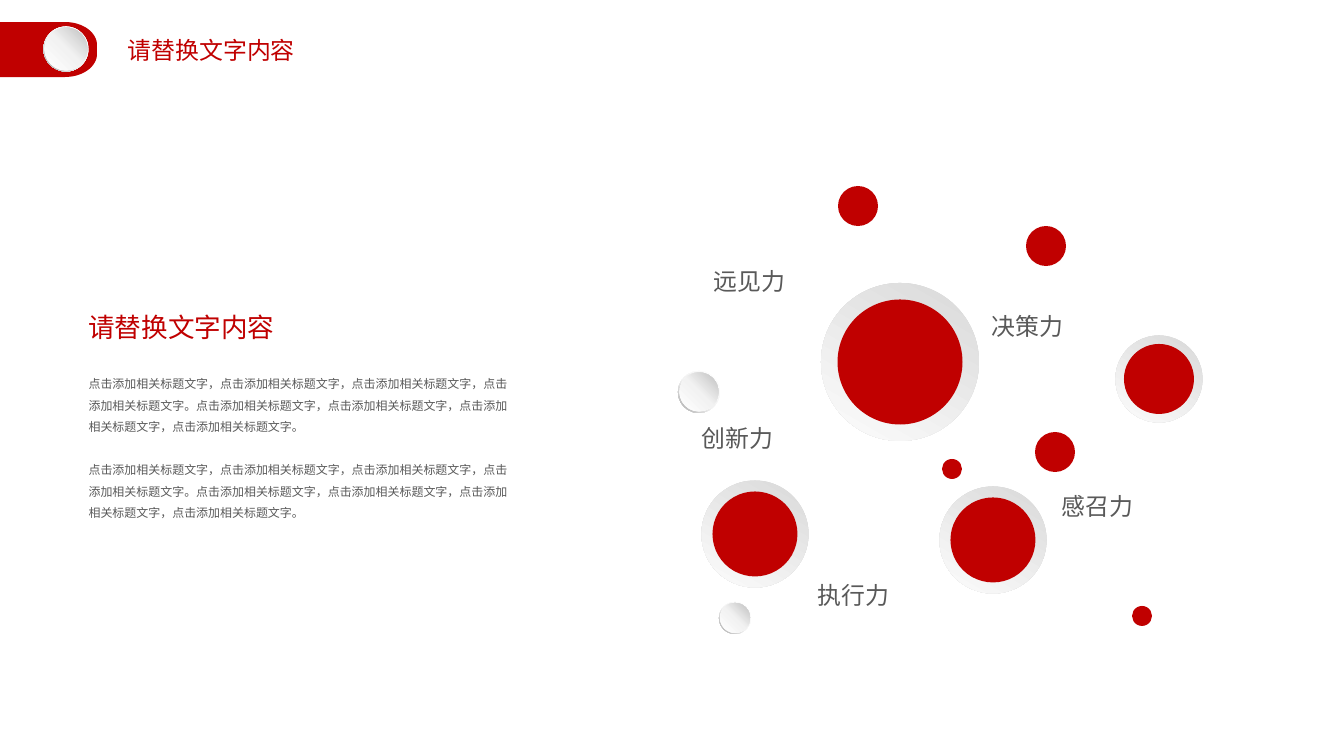
import copy
import math

import lxml.etree
import pptx
import pptx.dml.color
import pptx.enum.shapes
import pptx.enum.text
import pptx.oxml.ns
import pptx.util

PX = 9565
SLIDE = (1344, 756)
RED, GREY = "C00000", "595959"
CALIBRI, NOTO = "Calibri", "Noto Sans CJK SC"

HEADING = "请替换文字内容"
PHRASE = "点击添加相关标题文字"
SENTENCE = "，".join([PHRASE] * 4) + "。"
BODY = [SENTENCE * 2] * 2
TITLE_BOX = (118, 31, 208, 38)
SUBTITLE_BOX = (79, 306, 207, 42)
BODY_BOX = (79, 364, 442, 162)
LABEL_SIZE = (92, 38)
LABELS = [
    ("远见力", 704, 262),
    ("执行力", 808, 576),
    ("感召力", 1052, 487),
    ("决策力", 982, 307),
    ("创新力", 692, 419),
]

RINGS = [(900, 362, 158, 125), (755, 534, 107, 85), (993, 540, 107, 85), (1159, 379, 87, 70)]
DOTS = [(1055, 452, 40), (1046, 246, 40), (858, 206, 40), (1142, 616, 20), (952, 469, 20)]
PEARLS = [(735, 618, 32, 30), (699, 392, 42, 39), (66, 49, 45, 43)]
TAB_TOP, TAB_BOTTOM, TAB_BEND, TAB_RX, TAB_RY = 22, 77, 65, 32, 23

RING_FILL = ([(0, "D9D9D9"), (1, "FCFCFC")], 120)
RIM_FILL = ([(0, "FFFFFF"), (0.55, "F2F2F2"), (1, "A6A6A6")], 135)
PEARL_FILL = ([(0, "FFFFFF"), (0.51, "F2F2F2"), (1, "BFBFBF")], 315)

ELLIPSE = pptx.enum.shapes.MSO_SHAPE.OVAL
DONUT = pptx.enum.shapes.MSO_SHAPE.DONUT


def rgb(value):
    """Turn a hex string into a colour."""
    return pptx.dml.color.RGBColor.from_string(value)


def emu(*lengths):
    """Turn px lengths into EMU."""
    return [pptx.util.Emu(round(n * PX)) for n in lengths]


def paint(sp, fill):
    """Give a shape a solid or gradient fill, without line or shadow."""
    sp.shadow.inherit = False
    sp.line.fill.background()
    if isinstance(fill, str):
        sp.fill.solid()
        sp.fill.fore_color.rgb = rgb(fill)
        return
    stops, angle = fill
    sp.fill.gradient()
    sp.fill.gradient_angle = 360 - angle
    gs_list = sp._element.spPr.find(".//" + pptx.oxml.ns.qn("a:gsLst"))
    while len(gs_list) < len(stops):
        gs_list.append(copy.deepcopy(gs_list[0]))
    for stop, (position, color) in zip(sp.fill.gradient_stops, stops):
        stop.position = position
        stop.color.rgb = rgb(color)


def circle(s, cx, cy, d, fill, kind=ELLIPSE):
    """Add a round shape around a centre."""
    sp = s.shapes.add_shape(kind, *emu(cx - d / 2, cy - d / 2, d, d))
    if kind == DONUT:
        sp.adjustments[0] = 0.05
    paint(sp, fill)


def write(sp, box, texts, size, font, color, wrap=True, spacing=None):
    """Place a text shape and fill it with left-aligned paragraphs."""
    sp.left, sp.top, sp.width, sp.height = emu(*box)
    tf = sp.text_frame
    tf.word_wrap = wrap
    tf.auto_size = pptx.enum.text.MSO_AUTO_SIZE.NONE
    tf.vertical_anchor = pptx.enum.text.MSO_ANCHOR.MIDDLE
    tf.margin_top = tf.margin_bottom = 0
    for i, text in enumerate(texts):
        p = tf.add_paragraph() if i else tf.paragraphs[0]
        pPr = p._p.get_or_add_pPr()
        pPr.set("marL", "0")
        pPr.set("indent", "0")
        lxml.etree.SubElement(pPr, pptx.oxml.ns.qn("a:buNone"))
        p.alignment = pptx.enum.text.PP_ALIGN.LEFT
        p.space_before = pptx.util.Pt(spacing if i else 0)
        if spacing:
            p.line_spacing = pptx.util.Pt(spacing)
        r = p.add_run()
        r.text = text
        r.font.size = pptx.util.Pt(size)
        r.font.color.rgb = rgb(color)
        r.font.name = font
        ea = lxml.etree.SubElement(r._r.get_or_add_rPr(), pptx.oxml.ns.qn("a:ea"))
        ea.set("typeface", NOTO)


def add_tab(s):
    """Draw the red tab with rounded right corners at the left edge."""
    turns = [math.radians(a) for a in range(90, -1, -5)]
    arc = [(TAB_BEND + TAB_RX * math.cos(a), TAB_RY * (1 - math.sin(a))) for a in turns]
    upper = [(x, TAB_TOP + dy) for x, dy in arc]
    lower = [(x, TAB_BOTTOM - dy) for x, dy in reversed(arc)]
    points = [tuple(emu(*pt)) for pt in upper + lower + [(0, TAB_BOTTOM)]]
    builder = s.shapes.build_freeform(*emu(0, TAB_TOP))
    builder.add_line_segments(points, close=True)
    paint(builder.convert_to_shape(), RED)


def main():
    """Build and save the slide."""
    prs = pptx.Presentation()
    prs.slide_width, prs.slide_height = emu(*SLIDE)
    s = prs.slides.add_slide(prs.slide_layouts[1])
    write(s.shapes.title, TITLE_BOX, [HEADING], 18, CALIBRI, RED)
    write(s.placeholders[1], BODY_BOX, BODY, 9, NOTO, GREY, spacing=16.2)
    subtitle = s.shapes.add_textbox(*emu(*SUBTITLE_BOX))
    write(subtitle, SUBTITLE_BOX, [HEADING], 20, CALIBRI, RED, wrap=False)
    add_tab(s)
    for cx, cy, outer, inner in RINGS:
        circle(s, cx, cy, outer, RING_FILL)
        circle(s, cx, cy, inner, RED)
    for cx, cy, d in DOTS:
        circle(s, cx, cy, d, RED)
    for cx, cy, outer, inner in PEARLS:
        circle(s, cx, cy, outer, RIM_FILL, DONUT)
        circle(s, cx, cy, inner, PEARL_FILL)
    for text, x, y in LABELS:
        box = (x, y, *LABEL_SIZE)
        write(s.shapes.add_textbox(*emu(*box)), box, [text], 18, NOTO, GREY, wrap=False)
    prs.save("out.pptx")


if __name__ == "__main__":
    main()
